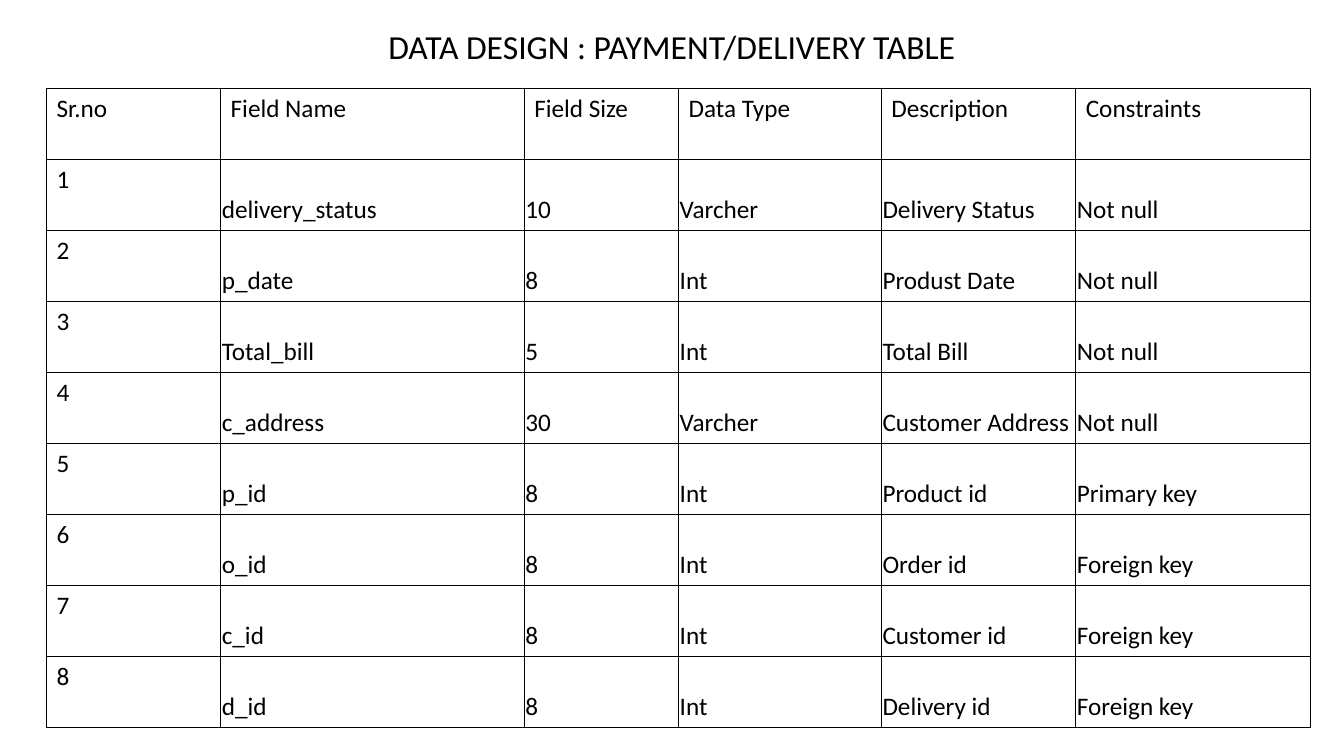
from typing import NamedTuple

from lxml.etree import SubElement
from pptx import Presentation
from pptx.dml.color import RGBColor
from pptx.enum.text import MSO_ANCHOR, PP_ALIGN
from pptx.oxml.ns import qn
from pptx.util import Cm, Pt

BLACK = "000000"
COLUMN_WIDTHS = (4.39, 7.65, 3.89, 5.11, 4.9, 5.92)
ROW_HEIGHT = 1.79
HEADINGS = ("Sr.no", "Field Name", "Field Size", "Data Type", "Description", "Constraints")


class Field(NamedTuple):
    name: str
    size: str
    data_type: str
    description: str
    constraint: str


FIELDS = (
    Field("delivery_status", "10", "Varcher", "Delivery Status", "Not null"),
    Field("p_date", "8", "Int", "Produst Date", "Not null"),
    Field("Total_bill", "5", "Int", "Total Bill", "Not null"),
    Field("c_address", "30", "Varcher", "Customer Address", "Not null"),
    Field("p_id", "8", "Int", "Product id", "Primary key"),
    Field("o_id", "8", "Int", "Order id", "Foreign key"),
    Field("c_id", "8", "Int", "Customer id", "Foreign key"),
    Field("d_id", "8", "Int", "Delivery id", "Foreign key"),
)


def rgb(value: str) -> RGBColor:
    return RGBColor.from_string(value)


def write(frame, text: str, *, size: float = 18, color: str = BLACK,
          align=PP_ALIGN.LEFT, spacing: float = 1.0) -> None:
    paragraph = frame.paragraphs[0]
    paragraph.alignment = align
    paragraph.line_spacing = spacing
    run = paragraph.add_run()
    run.text = text
    run.font.name = "Calibri"
    run.font.size = Pt(size)
    run.font.bold = False
    run.font.color.rgb = rgb(color)


def draw_borders(cell, color: str = BLACK, width: float = 1) -> None:
    properties = cell._tc.get_or_add_tcPr()
    for side in ("a:lnL", "a:lnR", "a:lnT", "a:lnB"):
        line = SubElement(properties, qn(side), w=str(Pt(width)))
        fill = SubElement(line, qn("a:solidFill"))
        SubElement(fill, qn("a:srgbClr"), val=color)


def fill_cell(cell, text: str, *, is_field_value: bool) -> None:
    """Field values sit at the bottom of the cell with almost no margin."""
    draw_borders(cell)
    cell.fill.background()
    if is_field_value:
        cell.vertical_anchor = MSO_ANCHOR.BOTTOM
        cell.margin_left = cell.margin_right = cell.margin_top = Cm(0.03)
        cell.margin_bottom = Cm(0.13)
    write(cell.text_frame, text)


def add_title(slide, text: str) -> None:
    frame = slide.shapes.add_textbox(Cm(4.23), Cm(0.64), Cm(25.4), Cm(1.6)).text_frame
    frame.word_wrap = True
    write(frame, text, size=24, align=PP_ALIGN.CENTER, spacing=0.9)


def add_field_table(slide, fields: tuple[Field, ...]) -> None:
    rows = [HEADINGS] + [(str(number), *field) for number, field in enumerate(fields, 1)]
    table = slide.shapes.add_table(
        len(rows), len(HEADINGS), Cm(1.17), Cm(2.23),
        Cm(sum(COLUMN_WIDTHS)), Cm(ROW_HEIGHT * len(rows))).table
    table.first_row = False
    table.horz_banding = False
    for column, width in zip(table.columns, COLUMN_WIDTHS):
        column.width = Cm(width)
    for row_index, texts in enumerate(rows):
        table.rows[row_index].height = Cm(ROW_HEIGHT)
        for column_index, text in enumerate(texts):
            fill_cell(table.cell(row_index, column_index), text,
                      is_field_value=row_index > 0 and column_index > 0)


def main() -> None:
    deck = Presentation()
    deck.slide_width, deck.slide_height = Cm(33.87), Cm(19.05)
    slide = deck.slides.add_slide(deck.slide_layouts[6])
    add_title(slide, "DATA DESIGN : PAYMENT/DELIVERY TABLE")
    add_field_table(slide, FIELDS)
    deck.save("out.pptx")


if __name__ == "__main__":
    main()
